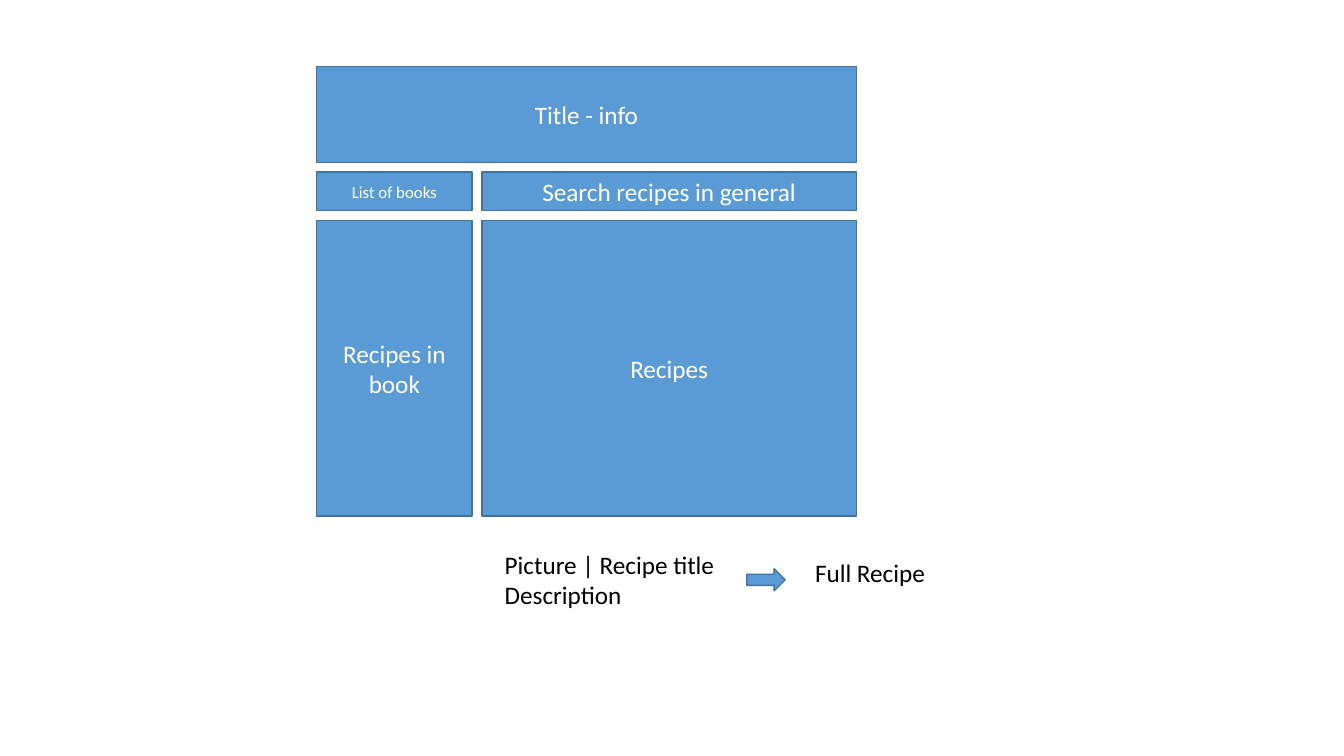
from pptx import Presentation
from pptx.dml.color import RGBColor
from pptx.enum.shapes import MSO_SHAPE as Kind
from pptx.enum.text import MSO_ANCHOR as Anchor, MSO_AUTO_SIZE as Fit, PP_ALIGN as Align
from pptx.util import Cm, Pt

BLUE = RGBColor(0x5B, 0x9B, 0xD5)
EDGE = RGBColor(0x43, 0x73, 0x9E)
WHITE = RGBColor(0xFF, 0xFF, 0xFF)
BLACK = RGBColor(0x00, 0x00, 0x00)

deck = Presentation()
deck.slide_width, deck.slide_height = Cm(33.87), Cm(19.05)
slide = deck.slides.add_slide(deck.slide_layouts[6])


def add_blue(kind, *box):
    shape = slide.shapes.add_shape(kind, *map(Cm, box))
    shape.shadow.inherit = False
    shape.fill.solid()
    shape.fill.fore_color.rgb = BLUE
    shape.line.color.rgb = EDGE
    shape.line.width = Pt(1)
    return shape


def write(shape, lines, size, color, align):
    shape.text_frame.word_wrap = True
    shape.text_frame.text = "\n".join(lines)
    form = {"name": "Calibri", "size": Pt(size)}
    for par in shape.text_frame.paragraphs:
        par.alignment = align
        for run in par.runs:
            run.font.color.rgb = color
            for key, value in form.items():
                setattr(run.font, key, value)


# Page grid: a header, a bar and a body, split into side and main columns
left, top, gap = 7.98, 1.68, 0.25
side, main = 3.92, 9.43
head, bar, body = 2.41, 0.97, 7.44
right = left + side + gap
mid = top + head + gap
low = mid + bar + gap

panels = [
    ("Title - info", 18, left, top, side + gap + main, head),
    ("Recipes in book", 18, left, low, side, body),
    ("Recipes", 18, right, low, main, body),
    ("Search recipes in general", 18, right, mid, main, bar),
    ("List of books", 12, left, mid, side, bar),
]
for label, size, *box in panels:
    panel = add_blue(Kind.RECTANGLE, *box)
    panel.text_frame.vertical_anchor = Anchor.MIDDLE
    write(panel, [label], size, WHITE, Align.CENTER)

# Recipe entry leading to the full recipe
notes = [
    (["Picture | Recipe title", "Description"], 12.47, 13.72, 5.89, 1.8),
    (["Full Recipe"], 20.29, 13.92, 5.36, 1.03),
]
for lines, *box in notes:
    note = slide.shapes.add_textbox(*map(Cm, box))
    write(note, lines, 18, BLACK, Align.LEFT)
    note.text_frame.auto_size = Fit.SHAPE_TO_FIT_TEXT

add_blue(Kind.RIGHT_ARROW, 18.82, 14.33, 0.97, 0.56)

deck.save("out.pptx")
